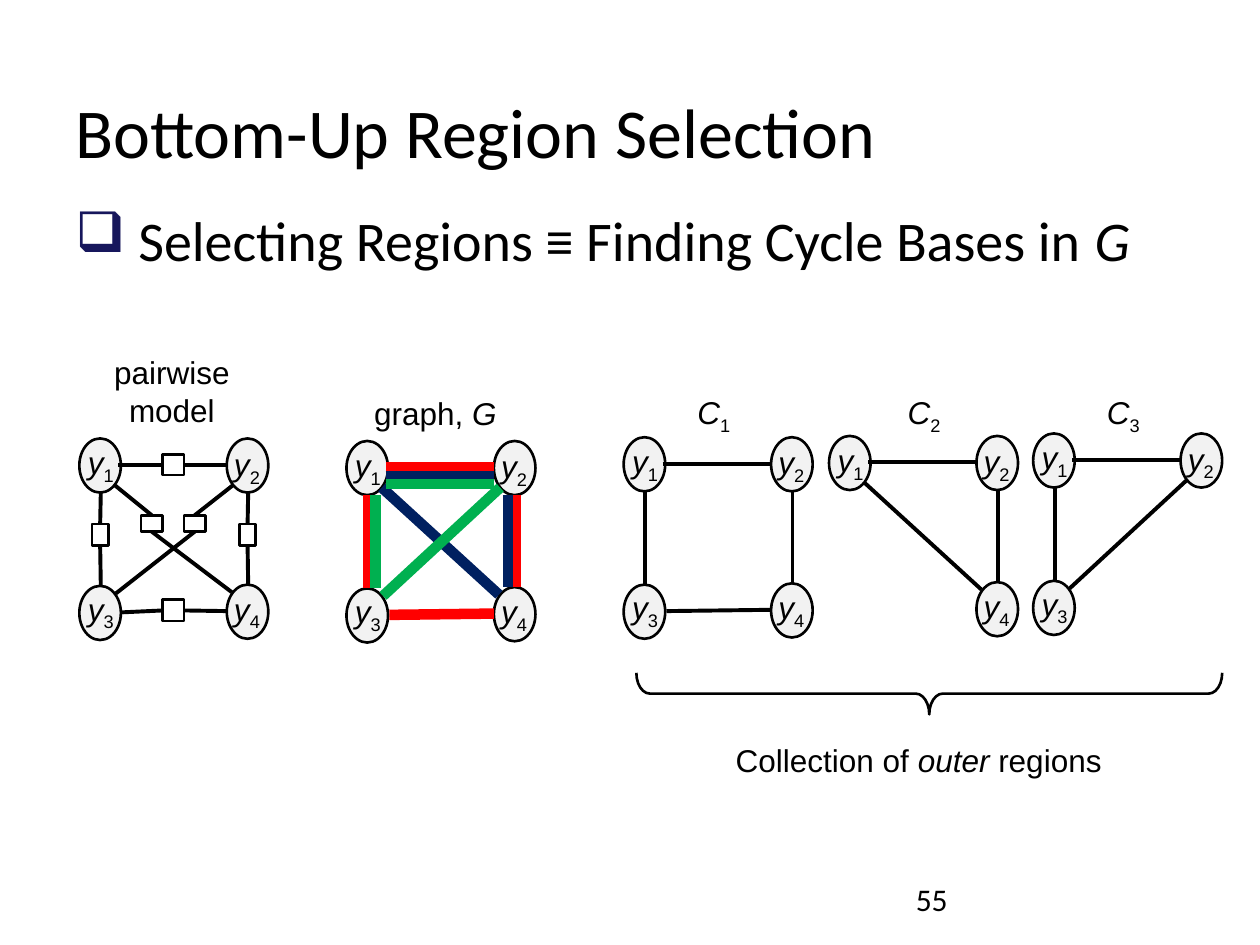
from lxml import etree
from pptx import Presentation, util as u
from pptx.dml.color import RGBColor
from pptx.enum import shapes, text
from pptx.oxml.ns import qn

COLORS = {"black": "000000", "white": "FFFFFF", "node": "F2F2F2", "bullet": "17175C",
          "red": "FF0000", "navy": "002060", "green": "00B050"}
RGB = {name: RGBColor.from_string(value) for name, value in COLORS.items()}
In = u.Inches

prs = Presentation()
prs.slide_width, prs.slide_height = In(10), In(7.5)
s = prs.slides.add_slide(prs.slide_layouts[6])


def add_text(x, y, w, h, runs, size=18, font="Arial", align=text.PP_ALIGN.CENTER,
             anchor=text.MSO_ANCHOR.TOP, bullet=None):
    """Add a text box; runs are (text, style), where style is '', 'i' or 'sub'."""
    sp = s.shapes.add_textbox(In(x), In(y), In(w), In(h))
    tf = sp.text_frame
    tf.word_wrap = True
    tf.vertical_anchor = anchor
    p = tf.paragraphs[0]
    p.alignment = align
    if bullet:
        pPr = p._p.get_or_add_pPr()
        pPr.set("marL", str(In(0.5)))
        pPr.set("indent", str(-In(0.5)))
        clr = etree.SubElement(pPr, qn("a:buClr"))
        etree.SubElement(clr, qn("a:srgbClr"), val=COLORS["bullet"])
        etree.SubElement(pPr, qn("a:buChar"), char=bullet)
    for words, style in runs:
        r = p.add_run()
        r.text = words
        r.font.size, r.font.name = u.Pt(size), font
        r.font.color.rgb = RGB["black"]
        r.font.italic = style == "i"
        if style == "sub":
            r.font._element.set("baseline", "-25000")


def add_line(start, end, color="black", width=2.25):
    line = s.shapes.add_connector(shapes.MSO_CONNECTOR.STRAIGHT,
                                  In(start[0]), In(start[1]), In(end[0]), In(end[1]))
    line.line.color.rgb = RGB[color]
    line.line.width = u.Pt(width)
    etree.SubElement(line._element.spPr, qn("a:effectLst"))
    return line


left = text.PP_ALIGN.LEFT
add_text(0.5, 0.58, 9, 0.91, [("Bottom-Up Region Selection", "")], 40, "Calibri", left,
         text.MSO_ANCHOR.MIDDLE)
add_text(0.5, 1.58, 9.33, 5.08,
         [("Selecting Regions ≡ Finding Cycle Bases in ", ""), ("G", "i")],
         32, "Calibri", left, bullet="❑")
add_text(7.17, 6.83, 2.33, 0.5, [("55", "")], 18, "Calibri", left, text.MSO_ANCHOR.BOTTOM)

# Every graph shares these offsets from the top left of its first node
NODES = {1: (0, 0), 2: (1.17, 0), 3: (0, 1.17), 4: (1.17, 1.16)}
LABELS = {1: (-0.08, -0.01, 0.5), 2: (1.04, 0, 0.58), 3: (-0.12, 1.15, 0.58), 4: (1.04, 1.15, 0.58)}
EDGES = {"12": ((0.31, 0.21), (1.17, 0.21)), "34": ((0.34, 1.38), (1.17, 1.37)),
         "13": ((0.17, 0.43), (0.17, 1.17)), "24": ((1.34, 0.43), (1.34, 1.16)),
         "14": ((0.28, 0.37), (1.21, 1.22)), "23": ((1.22, 0.37), (0.29, 1.23))}

# Factor boxes of the pairwise model: offset, size, sides joined to the edge's ends
FACTORS = {"12": (0.66, 0.13, 0.17, 0.16, 1, 3), "34": (0.66, 1.28, 0.17, 0.17, 1, 3),
           "13": (0.1, 0.68, 0.13, 0.17, 0, 2), "24": (1.27, 0.68, 0.13, 0.17, 0, 2),
           "14": (0.49, 0.61, 0.17, 0.13, 0, 2), "23": (0.83, 0.61, 0.17, 0.13, 0, 2)}

# Coloured cycles of G: edge, colour, shift that sets shared edges side by side
CYCLES = [("12", "red", 0, 0), ("34", "red", 0, 0), ("13", "red", 0, 0), ("24", "red", 0, 0),
          ("14", "navy", 0, 0), ("23", "green", 0, 0), ("24", "navy", -0.06, 0),
          ("12", "navy", 0, 0.07), ("13", "green", 0.06, 0), ("12", "green", 0, 0.13)]

# Each graph: origin, nodes, plain edges, factor boxes, coloured edges
GRAPHS = [(0.63, 3.48, (1, 2, 3, 4), (), FACTORS, ()),
          (2.75, 3.5, (1, 2, 3, 4), (), {}, CYCLES),
          (4.95, 3.47, (1, 2, 3, 4), ("12", "34", "13", "24"), {}, ()),
          (6.58, 3.46, (1, 2, 4), ("12", "24", "14"), {}, ()),
          (8.2, 3.44, (1, 2, 3), ("12", "13", "23"), {}, ())]

for x, y, nodes, edges, factors, cycles in GRAPHS:
    outlines = [(shapes.MSO_SHAPE.OVAL, *NODES[n], 0.33, 0.43, "node") for n in nodes]
    outlines += [(shapes.MSO_SHAPE.RECTANGLE, *f[:4], "white") for f in factors.values()]
    drawn = []
    for kind, dx, dy, w, h, fill in outlines:
        sp = s.shapes.add_shape(kind, In(x + dx), In(y + dy), In(w), In(h))
        sp.shadow.inherit = False
        sp.fill.solid()
        sp.fill.fore_color.rgb = RGB[fill]
        sp.line.color.rgb = RGB["black"]
        sp.line.width = u.Pt(1.5)
        drawn.append(sp)
    for (edge, factor), box in zip(factors.items(), drawn[len(nodes):]):
        for (dx, dy), side in zip(EDGES[edge], factor[4:]):
            end = (x + dx, y + dy)
            add_line(end, end).end_connect(box, side)
    strokes = [(e, "black", 0, 0, 2.25) for e in edges] + [(*c, 6) for c in cycles]
    for edge, color, sx, sy, width in strokes:
        start, end = [(x + dx + sx, y + dy + sy) for dx, dy in EDGES[edge]]
        add_line(start, end, color, width)
    for n in nodes:
        dx, dy, w = LABELS[n]
        add_text(x + dx, y + dy, w, 0.4, [("y", "i"), (str(n), "sub")])

add_text(0.7, 2.75, 1.33, 0.71, [("pairwise model", "")])
add_text(2.79, 3.08, 1.33, 0.4, [("graph,", ""), (" G", "i")])
for number, x in enumerate((5, 6.67, 8.25), 1):
    add_text(x, 3.07, 1.33, 0.4, [("C", "i"), (str(number), "sub")])

brace = s.shapes.add_shape(shapes.MSO_SHAPE.RIGHT_BRACE, In(7.21), In(3.18), In(0.33), In(4.65))
brace.rotation = 90
brace.adjustments[0] = 0.325
brace.shadow.inherit = False
brace.fill.background()
brace.line.color.rgb = RGB["black"]
brace.line.width = u.Pt(1.5)
add_text(5.74, 5.83, 3.29, 0.4, [("Collection of ", ""), ("outer", "i"), (" regions", "")],
         align=left)

prs.save("out.pptx")
